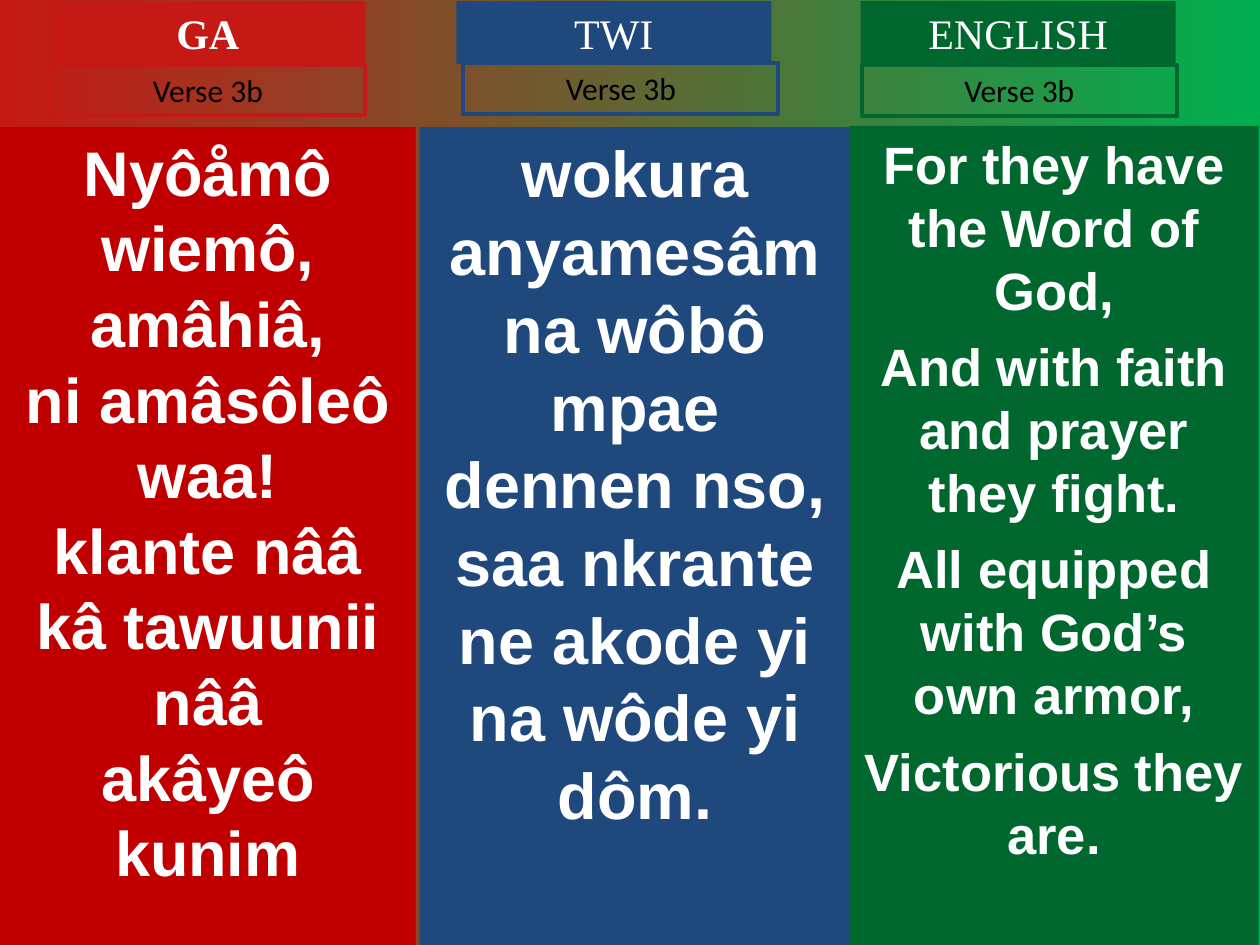
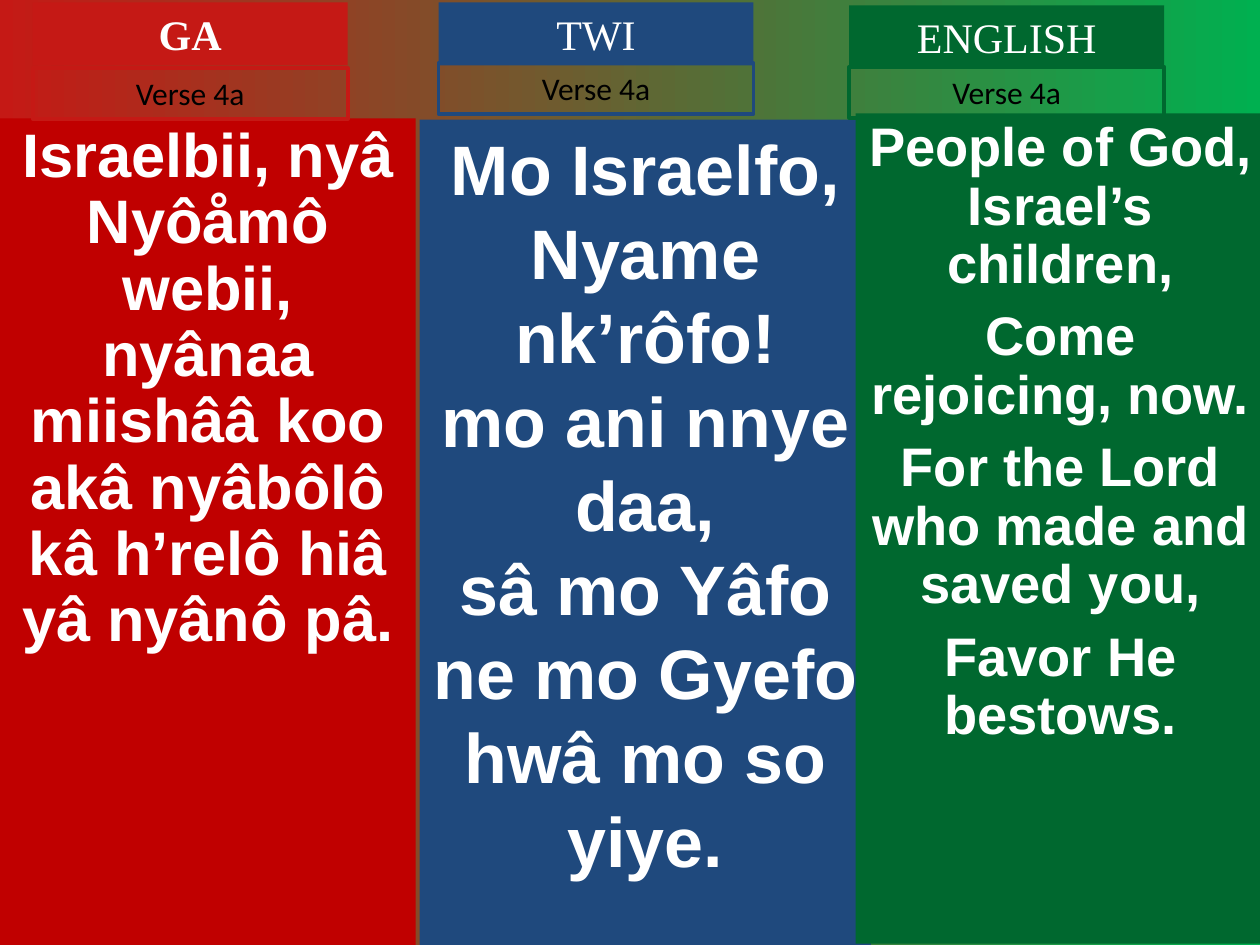
import pptx
import pptx.dml.color
import pptx.enum.shapes
import pptx.enum.text
import pptx.util

Pt = pptx.util.Pt

COLORS = {
    "red": "C51915", "deep red": "C00000", "blue": "1F497D", "green": "00682F",
    "bright green": "00B050", "white": "FFFFFF", "black": "000000",
}
TAB_WIDTH, TAB_HEIGHT, VERSE_HEIGHT = 180, 36, 29
TAB_FONT = {"name": "Times New Roman", "size": 24, "color": "white", "bold": False}
VERSE_FONT = {"name": "Calibri", "size": 18, "color": "black", "bold": False}
LYRICS_FONT = {"name": "Arial", "size": 36, "color": "white", "bold": True}

LANGUAGES = [
    {"name": "GA", "tab": "red", "panel": "deep red", "bold": True},
    {"name": "TWI", "tab": "blue", "panel": "blue", "bold": False},
    {"name": "ENGLISH", "tab": "green", "panel": "green", "bold": False},
]

# Boxes are (left, top, width, height); tab and verse corners are (left, top).
VERSES = [
    {"title": "Verse 3b", "columns": [
        {"panel": (0, 72.6, 237.6, 467.4), "tab": (28.8, 0.7), "verse": (28.8, 36.9),
         "size": 36, "format": {},
         "lines": ["Nyôåmô wiemô, amâhiâ,", "ni amâsôleô waa!",
                   "klante nââ kâ tawuunii nââ", "akâyeô kunim"]},
        {"panel": (239.8, 72.6, 246.2, 467.4), "tab": (260.8, 0.7), "verse": (264.8, 36),
         "size": 37, "format": {},
         "lines": ["wokura anyamesâm", "na wôbô mpae dennen nso,",
                   "saa nkrante ne akode yi", "na wôde yi dôm."]},
        {"panel": (485.3, 72, 234, 468), "tab": (491.8, 0.7), "verse": (492.5, 37.3),
         "size": 30, "format": {"space_before": Pt(7.5)},
         "lines": ["For they have the Word of God,", "And with faith and prayer they fight.",
                   "All equipped with God’s own armor,", "Victorious they are."]},
    ]},
    {"title": "Verse 4a", "columns": [
        {"panel": (0, 67.6, 237.6, 472.4), "tab": (18.7, 1.4), "verse": (18.7, 39),
         "size": 35.1, "format": {"line_spacing": 0.9},
         "lines": ["Israelbii, nyâ Nyôåmô webii,",
                   "nyânaa miishââ koo akâ nyâbôlô kâ h’relô hiâ yâ nyânô pâ."]},
        {"panel": (239.8, 68.4, 257.8, 471.6), "tab": (250.6, 1.4), "verse": (250.6, 36),
         "size": 40, "format": {},
         "lines": ["Mo Israelfo, Nyame nk’rôfo!", "mo ani nnye daa,",
                   "sâ mo Yâfo ne mo Gyefo hwâ mo so yiye."]},
        {"panel": (488.9, 64.8, 234, 474.5), "tab": (485.3, 3.1), "verse": (485.3, 38.2),
         "size": 31, "format": {"line_spacing": 0.9, "space_before": Pt(7.7)},
         "lines": ["People of God, Israel’s children,", "Come rejoicing, now.",
                   "For the Lord who made and saved you,", "Favor He bestows."]},
    ]},
]


def rgb(name):
    return pptx.dml.color.RGBColor.from_string(COLORS[name])


def add_box(slide, box, lines, font, fill=None, line=None, paragraph_format=None, grow=False):
    """Add a rectangle with centred text, one paragraph for each of the lines."""
    shape = slide.shapes.add_shape(
        pptx.enum.shapes.MSO_SHAPE.RECTANGLE, *(Pt(length) for length in box))
    shape.shadow.inherit = False
    if fill:
        shape.fill.solid()
        shape.fill.fore_color.rgb = rgb(fill)
    else:
        shape.fill.background()
    if line:
        shape.line.color.rgb = rgb(line)
        shape.line.width = Pt(2.25)
    else:
        shape.line.fill.background()

    auto_size = pptx.enum.text.MSO_AUTO_SIZE
    frame_format = {
        "word_wrap": True,
        "vertical_anchor": pptx.enum.text.MSO_ANCHOR.TOP,
        "auto_size": auto_size.SHAPE_TO_FIT_TEXT if grow else auto_size.NONE,
    }
    for name, value in frame_format.items():
        setattr(shape.text_frame, name, value)

    for index, text in enumerate(lines):
        frame = shape.text_frame
        paragraph = frame.add_paragraph() if index else frame.paragraphs[0]
        paragraph.alignment = pptx.enum.text.PP_ALIGN.CENTER
        for name, value in (paragraph_format or {}).items():
            if index or name != "space_before":
                setattr(paragraph, name, value)
        run = paragraph.add_run()
        run.text = text
        font_format = {"name": font["name"], "size": Pt(font["size"]), "bold": font["bold"]}
        for name, value in font_format.items():
            setattr(run.font, name, value)
        run.font.color.rgb = rgb(font["color"])


def add_lyrics(slide, column, language):
    add_box(slide, column["panel"], column["lines"], {**LYRICS_FONT, "size": column["size"]},
            fill=language["panel"], paragraph_format=column["format"])


def add_heading(slide, column, language, title):
    """Add the language tab and the outlined verse label."""
    add_box(slide, (*column["tab"], TAB_WIDTH, TAB_HEIGHT), [language["name"]],
            {**TAB_FONT, "bold": language["bold"]}, fill=language["tab"], grow=True)
    add_box(slide, (*column["verse"], TAB_WIDTH, VERSE_HEIGHT), [title],
            VERSE_FONT, line=language["tab"], grow=True)


def set_background(slide):
    fill = slide.background.fill
    fill.gradient()
    fill.gradient_angle = 0
    for stop, color in zip(fill.gradient_stops, ("red", "bright green")):
        stop.color.rgb = rgb(color)


def add_verse_slide(presentation, verse):
    slide = presentation.slides.add_slide(presentation.slide_layouts[6])
    set_background(slide)
    for column, language in zip(verse["columns"], LANGUAGES):
        add_lyrics(slide, column, language)
        add_heading(slide, column, language, verse["title"])


def main():
    presentation = pptx.Presentation()
    presentation.slide_width, presentation.slide_height = Pt(720), Pt(540)
    for verse in VERSES:
        add_verse_slide(presentation, verse)
    presentation.save("out.pptx")


if __name__ == "__main__":
    main()
